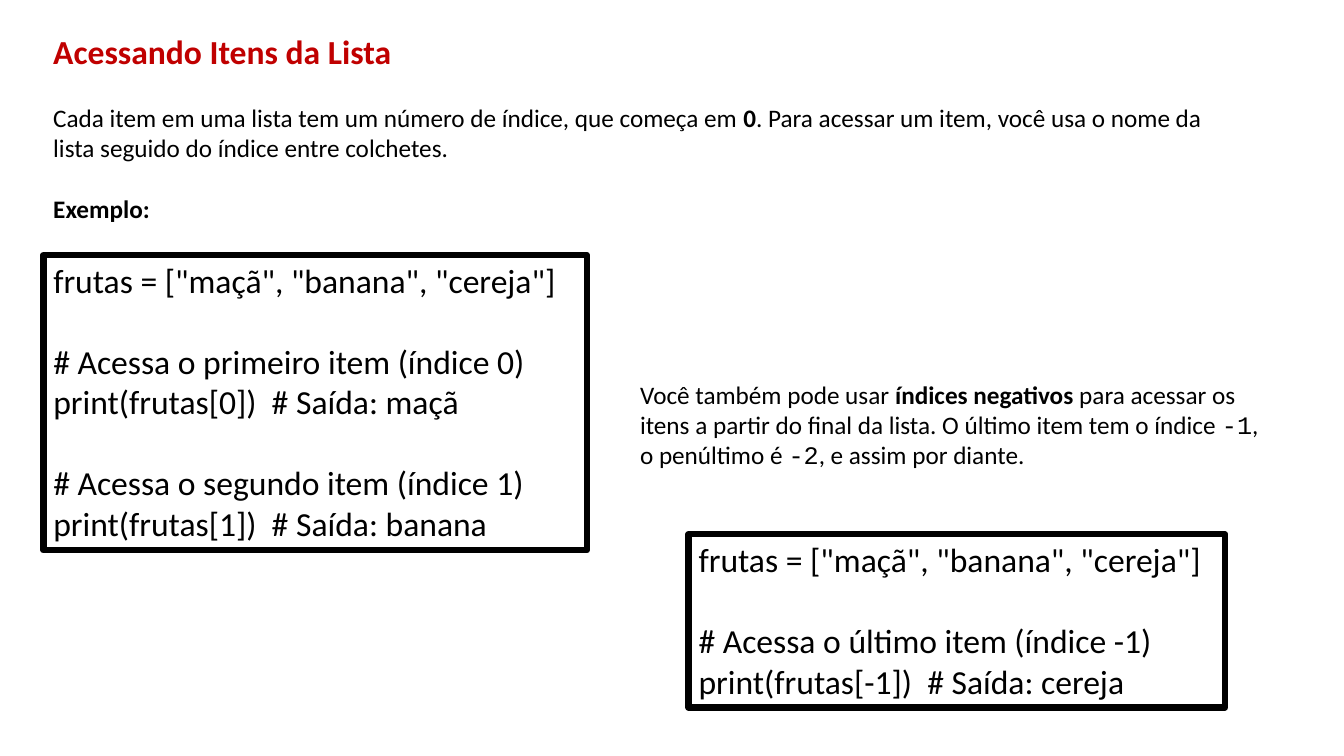
"""Builds a slide on accessing list items in Python."""
from pptx import Presentation
from pptx.dml.color import RGBColor
from pptx.enum import shapes, text
from pptx.util import Inches, Pt


def rgb(value):
    return RGBColor.from_string(value)


def fill_text(box, paragraphs):
    frame = box.text_frame
    frame.word_wrap = True
    frame.auto_size = text.MSO_AUTO_SIZE.SHAPE_TO_FIT_TEXT
    frame.vertical_anchor = text.MSO_ANCHOR.TOP
    for index, (size, color, gap, spans) in enumerate(paragraphs):
        para = frame.paragraphs[0] if index == 0 else frame.add_paragraph()
        para.alignment = text.PP_ALIGN.LEFT
        para.space_before = Pt(gap)
        for wording, style in spans:
            span = para.add_run()
            span.text = wording
            span.font.name = "Courier New" if style == "code" else "Calibri"
            span.font.size = Pt(size)
            span.font.bold = style == "bold"
            span.font.color.rgb = rgb(color)


BLACK, RED = "000000", "C00000"
BODY_SIZE, LARGE_SIZE = 18, 24
BODY_GAP, CODE_GAP = 22, 29

deck = Presentation()
deck.slide_width, deck.slide_height = Inches(13.33), Inches(7.5)
page = deck.slides.add_slide(deck.slide_layouts[6])

introduction = [
    (LARGE_SIZE, RED, 0, [("Acessando Itens da Lista", "bold")]),
    (BODY_SIZE, BLACK, BODY_GAP, [
        ("Cada item em uma lista tem um número de índice, que começa em ", "plain"),
        ("0", "bold"),
        (". Para acessar um item, você usa o nome da lista seguido do índice entre colchetes.", "plain"),
    ]),
    (BODY_SIZE, BLACK, BODY_GAP, [("Exemplo:", "bold")]),
]
negative_indices = [
    (BODY_SIZE, BLACK, 0, [
        ("Você também pode usar ", "plain"),
        ("índices negativos", "bold"),
        (" para acessar os itens a partir do final da lista. O último item tem o índice ", "plain"),
        ("-1", "code"),
        (", o penúltimo é ", "plain"),
        ("-2", "code"),
        (", e assim por diante.", "plain"),
    ]),
]
for left, top, width, height, paragraphs in [
    (0.43, 0.26, 11.64, 2.02, introduction),
    (6.25, 3.71, 6.36, 1.01, negative_indices),
]:
    box = page.shapes.add_textbox(Inches(left), Inches(top), Inches(width), Inches(height))
    fill_text(box, paragraphs)

list_line = 'frutas = ["maçã", "banana", "cereja"]'
positive_code = [
    list_line,
    "# Acessa o primeiro item (índice 0)",
    "print(frutas[0])  # Saída: maçã",
    "# Acessa o segundo item (índice 1)",
    "print(frutas[1])  # Saída: banana",
]
negative_code = [
    list_line,
    "# Acessa o último item (índice -1)",
    "print(frutas[-1])  # Saída: cereja",
]
for left, top, width, height, code_lines in [
    (0.43, 2.53, 5.39, 2.93, positive_code),
    (6.83, 5.3, 5.32, 1.72, negative_code),
]:
    box = page.shapes.add_shape(
        shapes.MSO_SHAPE.RECTANGLE, Inches(left), Inches(top), Inches(width), Inches(height))
    box.shadow.inherit = False
    box.fill.background()
    box.line.color.rgb = rgb(BLACK)
    box.line.width = Pt(4.5)
    fill_text(box, [
        (LARGE_SIZE, BLACK, CODE_GAP if line.startswith("#") else 0, [(line, "plain")])
        for line in code_lines
    ])

deck.save("out.pptx")
